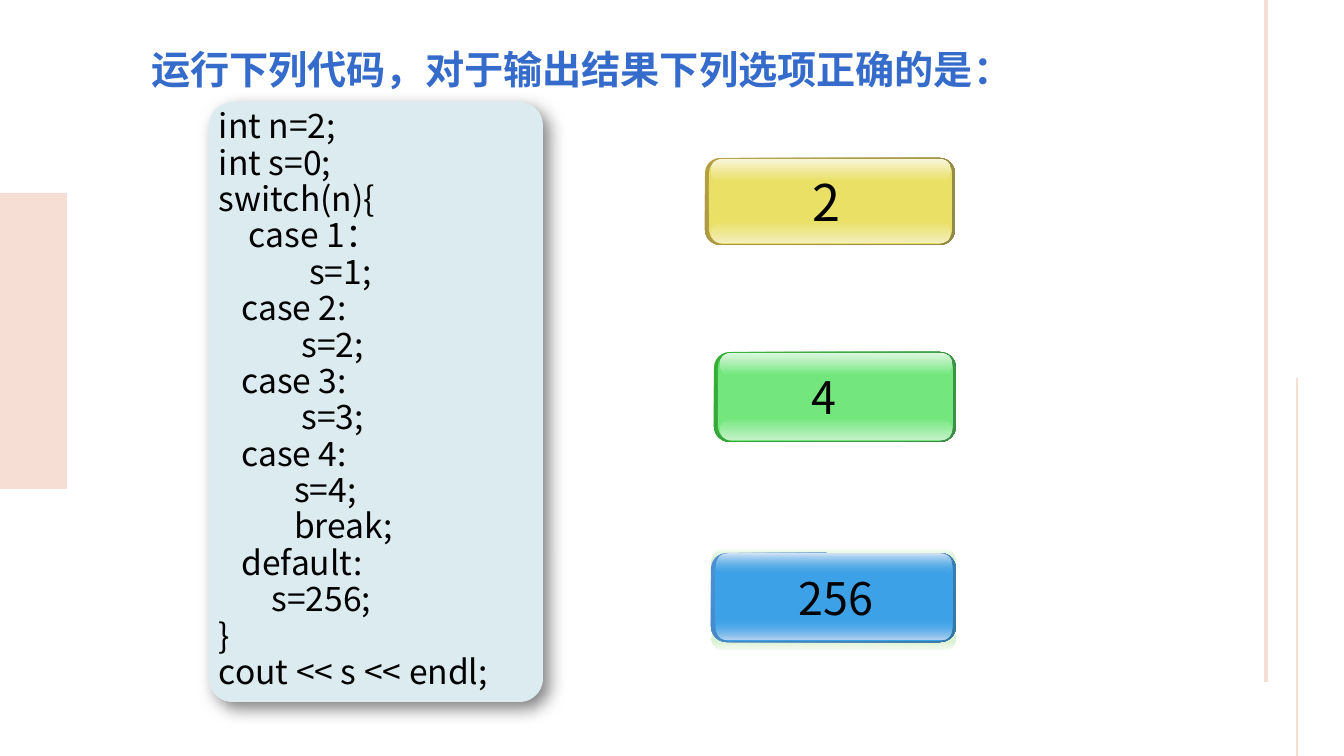
from lxml import etree
from pptx import Presentation
from pptx.dml.color import RGBColor
from pptx.enum.shapes import MSO_CONNECTOR, MSO_SHAPE
from pptx.enum.text import MSO_ANCHOR, MSO_AUTO_SIZE, PP_ALIGN
from pptx.oxml import parse_xml
from pptx.oxml.ns import nsdecls, qn
from pptx.util import Pt

PX = 914400 / 100.8
FONT = "Noto Sans CJK SC"
COLORS = {
    "blush": "F6DED4", "panel": "DCEBEF", "title": "356BCA", "text": "000000",
    "white": "FFFFFF", "halo": "6ECC4C",
    "yellow": "E9E065", "yellow_top": "F8F5DB", "yellow_bottom": "F3EEBB",
    "yellow_rim": "B59F43", "yellow_rim_end": "8F8849",
    "green": "73E77E", "green_top": "DDF7DF", "green_bottom": "C3F2C7",
    "green_rim": "34B034", "green_rim_end": "3F8B4A",
    "blue": "3CA1E6", "blue_top": "D7E5F7", "blue_bottom": "BDD6F3",
    "blue_rim": "4E91D4", "blue_rim_end": "3477A4",
}


def add_box(bounds, colors, corner=None, angle=90, clear=None):
    """Add a solid or two-colour box; clear is the stop made transparent."""
    kind = MSO_SHAPE.RECTANGLE if corner is None else MSO_SHAPE.ROUNDED_RECTANGLE
    box = page.shapes.add_shape(kind, *[round(value * PX) for value in bounds])
    if corner is not None:
        box.adjustments[0] = corner
    box.shadow.inherit = False
    box.line.fill.background()
    if len(colors) == 1:
        box.fill.solid()
        box.fill.fore_color.rgb = RGBColor.from_string(COLORS[colors[0]])
        return box
    box.fill.gradient()
    box.fill.gradient_angle = 360 - angle
    for stop, name in zip(box.fill.gradient_stops, colors):
        stop.color.rgb = RGBColor.from_string(COLORS[name])
    if clear is not None:
        tones = list(box._element.spPr.iter(qn("a:srgbClr")))
        etree.SubElement(tones[clear], qn("a:alpha")).set("val", "0")
    return box


def style_text(frame, size, color, bold=False):
    for paragraph in frame.paragraphs:
        for span in paragraph.runs:
            span.font.name = FONT
            span.font.size = Pt(size)
            span.font.bold = bold
            span.font.color.rgb = RGBColor.from_string(COLORS[color])
            east_asian = etree.SubElement(span.font._element, qn("a:ea"))
            east_asian.set("typeface", FONT)


deck = Presentation()
deck.slide_width = round(1344 * PX)
deck.slide_height = round(756 * PX)
page = deck.slides.add_slide(deck.slide_layouts[5])

# Side decoration
add_box((0, 193, 67, 296), ["blush"])
for x, top, bottom, weight in [(1266, 0, 682, 2.25), (1297, 378, 756, 1.5)]:
    rule = page.shapes.add_connector(
        MSO_CONNECTOR.STRAIGHT,
        *[round(value * PX) for value in (x, bottom, x, top)])
    rule.line.color.rgb = RGBColor.from_string(COLORS["blush"])
    rule.line.width = Pt(weight)
    etree.SubElement(rule._element.spPr, qn("a:effectLst"))

# Code panel with soft shadow
panel = add_box((209, 102, 334, 600), ["panel"], corner=0.07)
effects = panel._element.spPr.find(qn("a:effectLst"))
effects.append(parse_xml(
    f'<a:outerShdw {nsdecls("a")} blurRad="{Pt(12)}" dist="{Pt(6)}" '
    'dir="2700000" algn="tl" rotWithShape="0"><a:srgbClr val="000000">'
    '<a:alpha val="50000"/></a:srgbClr></a:outerShdw>'))

# Code listing
code = """int n=2;
int s=0;
switch(n){
    case 1：
            s=1;
   case 2:
           s=2;
   case 3:
           s=3;
   case 4:
          s=4;
          break;
   default:
       s=256;
}
cout << s << endl;"""
listing = page.shapes.add_textbox(
    *[round(value * PX) for value in (209, 104, 334, 598)])
listing.text_frame.word_wrap = True
listing.text_frame.text = code
for paragraph in listing.text_frame.paragraphs:
    paragraph.line_spacing = Pt(26)
style_text(listing.text_frame, 24, "text")

# Question
title = page.shapes.title
title.left, title.top, title.width, title.height = [
    round(value * PX) for value in (141, 40, 913, 57)]
frame = title.text_frame
frame.text = "运行下列代码，对于输出结果下列选项正确的是："
frame.word_wrap = True
frame.auto_size = MSO_AUTO_SIZE.NONE
frame.vertical_anchor = MSO_ANCHOR.TOP
frame.paragraphs[0].alignment = PP_ALIGN.LEFT
style_text(frame, 28, "title", bold=True)

# Answer buttons: halo, rim, face, bottom and top gloss
answers = [
    ("2", 36, "yellow", (705, 158, 250, 87), 4),
    ("4", 32, "green", (714, 352, 242, 90), 11),
    ("256", 32, "blue", (711, 553, 245, 89), -2),
]
gloss_height = 22
for label, size, tone, (x, y, width, height), shift in answers:
    see_through = tone == "blue"
    if see_through:
        add_box((x + 1, y + 74, width - 1, 24), ["halo", "white"], 0.5, clear=0)
        add_box((x + 1, y - 4, width - 1, 24), ["white", "halo"], 0.5, clear=1)
    add_box((x, y, width, height), [tone + "_rim", tone + "_rim_end"], 0.175, angle=45)
    face = add_box((x + 4, y + 1, width - 7, height - 2), [tone], 0.167)
    frame = face.text_frame
    frame.text = label
    frame.word_wrap = True
    frame.vertical_anchor = MSO_ANCHOR.MIDDLE
    frame.margin_left = round(20 * PX)
    frame.margin_right = round((20 + 2 * shift) * PX)
    frame.paragraphs[0].alignment = PP_ALIGN.CENTER
    style_text(frame, size, "text")
    glosses = [
        (y + height - 2 - gloss_height, [tone, tone + "_bottom"], 0),
        (y + 1, [tone + "_top", tone], 1),
    ]
    for top, colors, end in glosses:
        add_box((x + 6, top, width - 10, gloss_height), colors, 0.5,
                clear=end if see_through else None)

deck.save("out.pptx")
